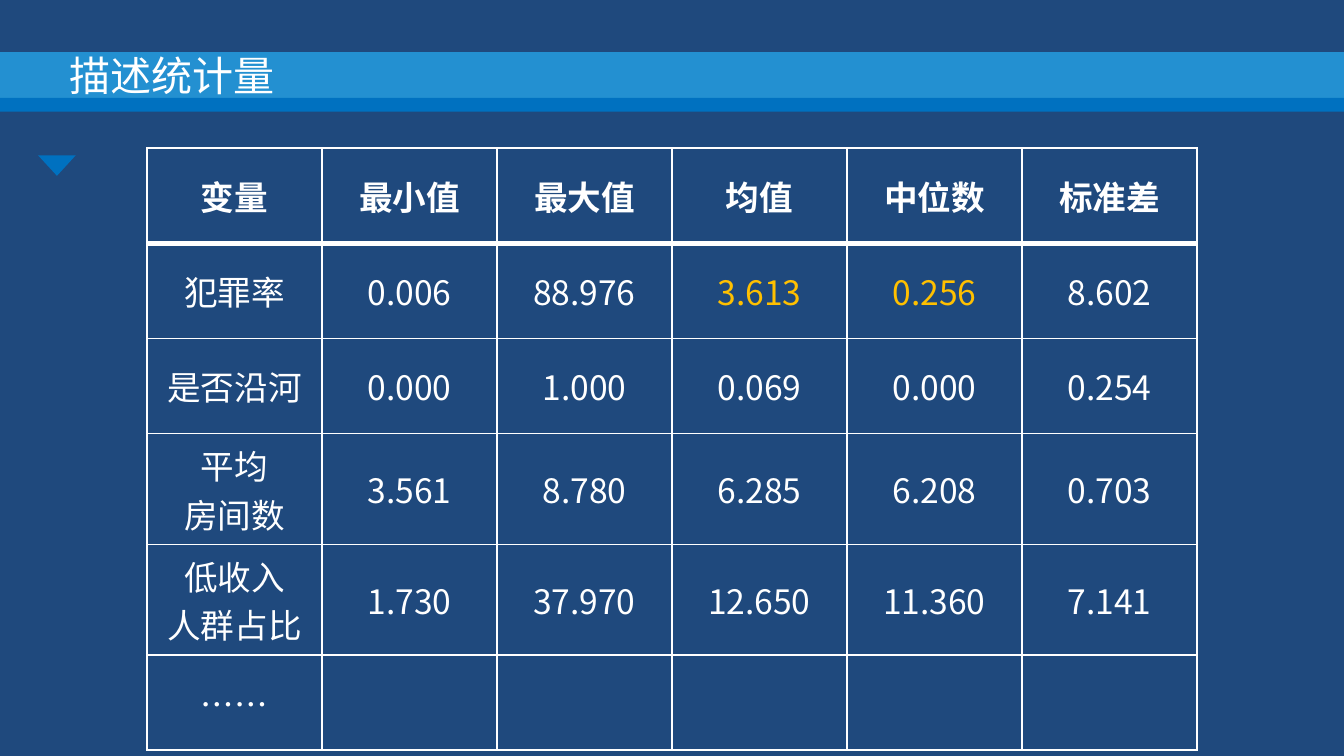
from pptx import Presentation
from pptx.dml.color import RGBColor
from pptx.enum.shapes import MSO_SHAPE as Shape
from pptx.enum.text import MSO_ANCHOR as Anchor, PP_ALIGN as Align
from pptx.oxml import parse_xml
from pptx.oxml.ns import nsdecls
from pptx.util import Pt

# Content
TITLE = "描述统计量"
HEADER = ["变量", "最小值", "最大值", "均值", "中位数", "标准差"]
ROWS = [
    ["犯罪率", "0.006", "88.976", "3.613", "0.256", "8.602"],
    ["是否沿河", "0.000", "1.000", "0.069", "0.000", "0.254"],
    ["平均\n房间数", "3.561", "8.780", "6.285", "6.208", "0.703"],
    ["低收入\n人群占比", "1.730", "37.970", "12.650", "11.360", "7.141"],
    ["……", "", "", "", "", ""],
]
HIGHLIGHTED = {(1, 3), (1, 4)}

# Format
FONT = "Noto Sans CJK SC"
NAVY, BLUE, SKY = "1F497D", "0071C0", "2390D1"
WHITE, GOLD = "FFFFFF", "FFC000"
BANNER = [  # preset, left, top, width, height, colour, rotation
    (Shape.ISOSCELES_TRIANGLE, 20.4, 83.2, 20.2, 11.2 - 0.2, BLUE, 180),
    (Shape.RECTANGLE, 0, 28, 720, 25, SKY, 0),
    (Shape.RECTANGLE, 0, 52.5, 720, 7.3, BLUE, 0),
]
TABLE_LEFT, TABLE_TOP, COLUMN_WIDTH, ROW_HEIGHT = 78.75, 79.3, 93.75, 51
THIN, THICK = 1, 3


def color(value):
    return RGBColor.from_string(value)


def write(paragraph, text, size, text_color=WHITE, bold=False):
    run = paragraph.add_run()
    run.text = text
    for name, value in {"name": FONT, "size": Pt(size), "bold": bold}.items():
        setattr(run.font, name, value)
    run.font.color.rgb = color(text_color)
    run.font._element.append(
        parse_xml(f'<a:ea {nsdecls("a")} typeface="{FONT}"/>'))


def add_borders(cell, widths):
    for side, width in widths.items():
        cell._tc.get_or_add_tcPr().append(parse_xml(
            f'<a:ln{side} {nsdecls("a")} w="{Pt(width)}"><a:solidFill>'
            f'<a:srgbClr val="{WHITE}"/></a:solidFill></a:ln{side}>'))


presentation = Presentation()
presentation.slide_width, presentation.slide_height = Pt(720), Pt(405)
slide = presentation.slides.add_slide(presentation.slide_layouts[6])
slide.background.fill.solid()
slide.background.fill.fore_color.rgb = color(NAVY)

# Banner
for preset, left, top, width, height, fill, rotation in BANNER:
    shape = slide.shapes.add_shape(preset, Pt(left), Pt(top), Pt(width), Pt(height))
    shape.shadow.inherit = False
    shape.rotation = rotation
    shape.fill.solid()
    shape.fill.fore_color.rgb = color(fill)
    shape.line.fill.background()

# Statistics table
rows = [HEADER] + ROWS
table = slide.shapes.add_table(
    len(rows), len(HEADER), Pt(TABLE_LEFT), Pt(TABLE_TOP),
    Pt(COLUMN_WIDTH * len(HEADER)), Pt(ROW_HEIGHT * len(rows))).table
table.first_row = table.horz_banding = False
for row_index, row in enumerate(rows):
    for column_index, text in enumerate(row):
        cell = table.cell(row_index, column_index)
        cell.vertical_anchor = Anchor.MIDDLE
        add_borders(cell, {
            "L": THIN, "R": THIN,
            "T": THICK if row_index == 1 else THIN,
            "B": THICK if row_index == 0 else THIN})
        cell.fill.background()
        text_color = GOLD if (row_index, column_index) in HIGHLIGHTED else WHITE
        frame = cell.text_frame
        for line_index, line in enumerate(text.split("\n")):
            paragraph = frame.add_paragraph() if line_index else frame.paragraphs[0]
            paragraph.alignment = Align.CENTER
            if line:
                write(paragraph, line, 18, text_color, bold=row_index == 0)

# Title
title = slide.shapes.add_textbox(Pt(30), Pt(26.6), Pt(648), Pt(27.4))
frame = title.text_frame
for name, value in {"word_wrap": True, "vertical_anchor": Anchor.MIDDLE,
                    "margin_top": 0, "margin_bottom": 0}.items():
    setattr(frame, name, value)
write(frame.paragraphs[0], TITLE, 22)

presentation.save("out.pptx")
